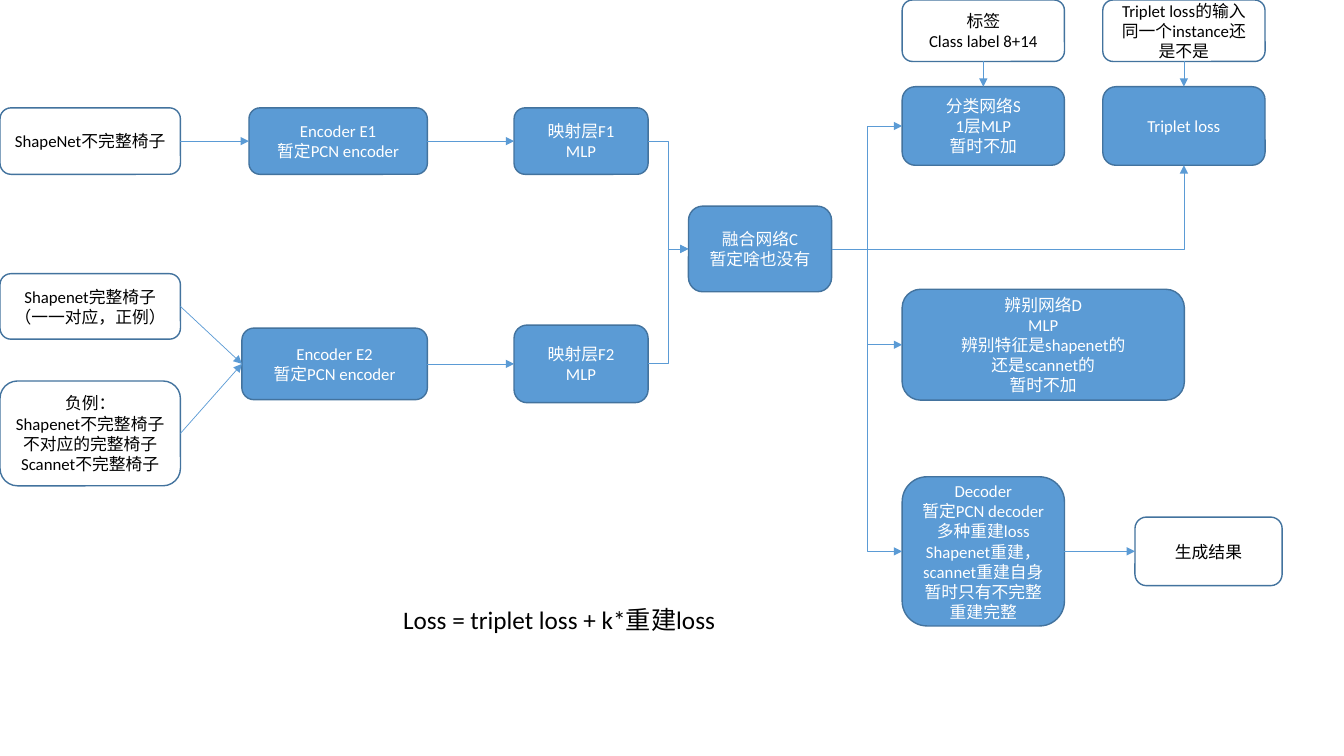
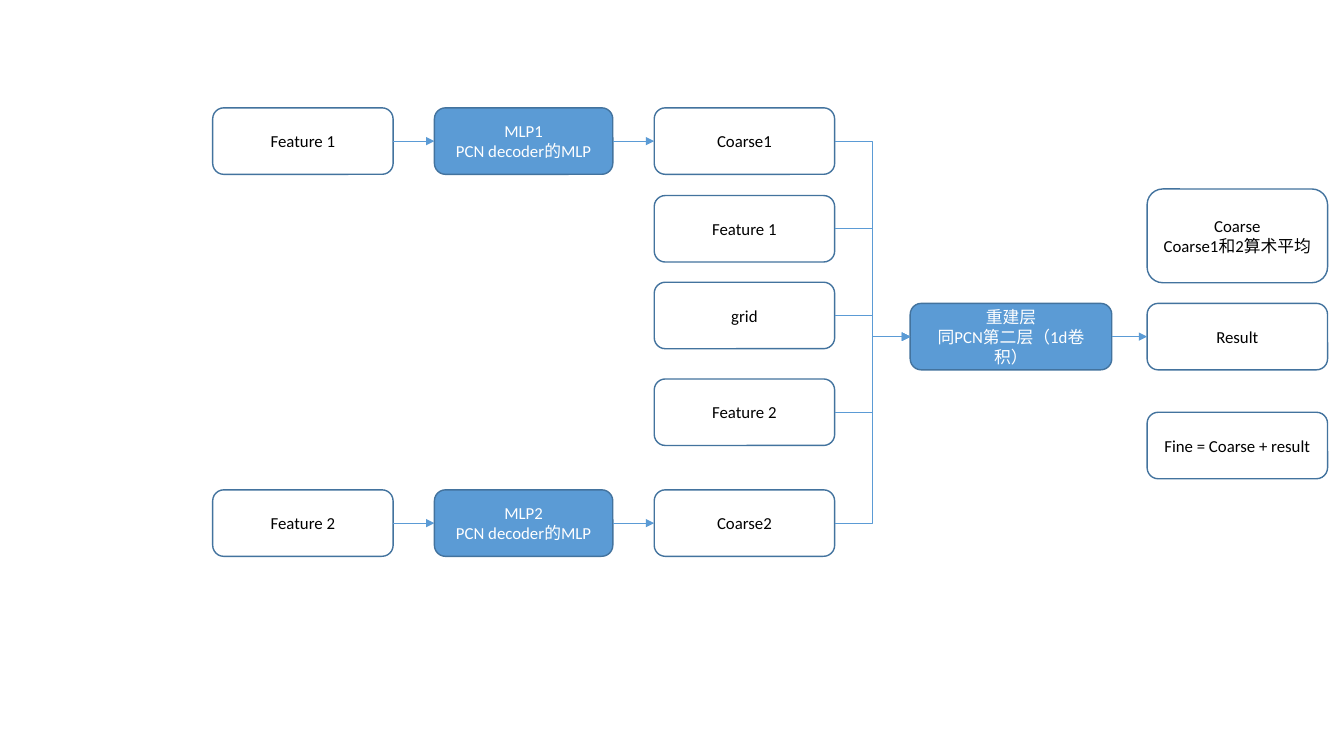
"""Builds two flow diagrams of a point cloud network on a grid of square cells."""
import dataclasses

import pptx
import pptx.dml.color
import pptx.enum.shapes
import pptx.enum.text
import pptx.oxml
import pptx.oxml.ns
import pptx.util

TOP, LEFT, BOTTOM, RIGHT = range(4)


@dataclasses.dataclass(frozen=True)
class Theme:
    """Colours, type sizes and grid shared by the slides."""
    paper: str = "FFFFFF"
    ink: str = "000000"
    accent: str = "5B9BD5"
    edge: str = "43739E"
    font: str = "Calibri"
    label_size: float = 12
    formula_size: float = 18
    edge_width: float = 1
    arrow_width: float = 0.5
    cell: int = pptx.util.Inches(0.1)
    columns: float = 133.33
    rows: float = 75


class Diagram:
    """Draws boxes, arrows and notes on the current slide."""

    def __init__(self, theme):
        """Open an empty presentation of the theme's size."""
        self.theme = theme
        self.deck = pptx.Presentation()
        self.deck.slide_width = self.cells(theme.columns)
        self.deck.slide_height = self.cells(theme.rows)

    def cells(self, count):
        """Convert grid cells to a length."""
        return pptx.util.Emu(round(count * self.theme.cell))

    def colour(self, code):
        """Convert a hex code to a colour."""
        return pptx.dml.color.RGBColor.from_string(code)

    def new_slide(self):
        """Start a blank slide."""
        self.slide = self.deck.slides.add_slide(self.deck.slide_layouts[6])

    def set_text(self, frame, text, size, ink, align):
        """Fill a text frame, one paragraph a line."""
        frame.text = text
        frame.word_wrap = True
        for paragraph in frame.paragraphs:
            paragraph.alignment = align
            paragraph.font.name = self.theme.font
            paragraph.font.size = pptx.util.Pt(size)
            paragraph.font.color.rgb = self.colour(ink)

    def box(self, text, left, middle, width, height, fill, ink):
        """Add a rounded box centred on a grid row."""
        shape = self.slide.shapes.add_shape(
            pptx.enum.shapes.MSO_SHAPE.ROUNDED_RECTANGLE,
            *map(self.cells, (left, middle - height / 2, width, height)))
        shape.shadow.inherit = False
        shape.fill.solid()
        shape.fill.fore_color.rgb = self.colour(fill)
        shape.line.color.rgb = self.colour(self.theme.edge)
        shape.line.width = pptx.util.Pt(self.theme.edge_width)
        shape.text_frame.vertical_anchor = pptx.enum.text.MSO_ANCHOR.MIDDLE
        self.set_text(shape.text_frame, text, self.theme.label_size, ink,
                      pptx.enum.text.PP_ALIGN.CENTER)
        return shape

    def data(self, text, left, middle, width=17.9, height=6.6):
        """Add a white box for an input or a result."""
        return self.box(text, left, middle, width, height,
                        self.theme.paper, self.theme.ink)

    def network(self, text, left, middle, width=17.7, height=6.6):
        """Add a filled box for a network part."""
        return self.box(text, left, middle, width, height,
                        self.theme.accent, self.theme.paper)

    def note(self, text, left, top, width, height):
        """Add plain text."""
        frame = self.slide.shapes.add_textbox(
            *map(self.cells, (left, top, width, height))).text_frame
        self.set_text(frame, text, self.theme.formula_size, self.theme.ink,
                      pptx.enum.text.PP_ALIGN.LEFT)

    def arrow(self, start, end, exit_side=RIGHT, entry_side=LEFT, bent=False):
        """Join two boxes with a straight or bent arrow."""
        kinds = pptx.enum.shapes.MSO_CONNECTOR
        line = self.slide.shapes.add_connector(
            kinds.ELBOW if bent else kinds.STRAIGHT, 0, 0, 0, 0)
        line.begin_connect(start, exit_side)
        line.end_connect(end, entry_side)
        line.line.color.rgb = self.colour(self.theme.accent)
        line.line.width = pptx.util.Pt(self.theme.arrow_width)
        properties = line._element.spPr
        qn = pptx.oxml.ns.qn
        if bent and entry_side == BOTTOM:
            properties.find(qn("a:prstGeom")).set("prst", "bentConnector2")
        head = pptx.oxml.parse_xml(
            f'<a:tailEnd {pptx.oxml.ns.nsdecls("a")} type="triangle"/>')
        properties.find(qn("a:ln")).append(head)
        properties.append(pptx.oxml.parse_xml(
            f'<a:effectLst {pptx.oxml.ns.nsdecls("a")}/>'))

    def chain(self, *boxes):
        """Join boxes from left to right."""
        for start, end in zip(boxes, boxes[1:]):
            self.arrow(start, end)


def draw_training(diagram):
    """Draw the encoders, the fusion network and its heads."""
    diagram.new_slide()
    upper, lower, fusion_row, head_row, decoder_row = 14, 36.1, 24.7, 12.5, 54.7
    label_row, label_height, head_height = 3.05, 6.1, 7.8
    class_column, triplet_column, head_width = 89.5, 109.4, 16.1

    partial = diagram.data("ShapeNet不完整椅子", 0, upper)
    positive = diagram.data("Shapenet完整椅子（一一对应，正例）", 0, 30.4, height=6.5)
    negative = diagram.data(
        "负例：\nShapenet不完整椅子\n不对应的完整椅子\nScannet不完整椅子",
        0, 43, height=10.4)
    encoder_1 = diagram.network("Encoder E1\n暂定PCN encoder", 24.7, upper)
    encoder_2 = diagram.network("Encoder E2\n暂定PCN encoder", 24, lower, 18.4, 7.1)
    mapping_1 = diagram.network("映射层F1\nMLP", 51, upper, 13.3)
    mapping_2 = diagram.network("映射层F2\nMLP", 51, lower, 13.3, 7.7)
    fusion = diagram.network("融合网络C\n暂定啥也没有", 68.3, fusion_row, 14.2, 8.5)

    classifier = diagram.network("分类网络S\n1层MLP\n暂时不加", class_column,
                                 head_row, head_width, head_height)
    label = diagram.data("标签\nClass label 8+14", class_column,
                         label_row, head_width, label_height)
    triplet = diagram.network("Triplet loss", triplet_column,
                              head_row, head_width, head_height)
    pairs = diagram.data("Triplet loss的输入\n同一个instance还是不是", triplet_column,
                         label_row, head_width, label_height)
    discriminator = diagram.network(
        "辨别网络D\nMLP\n辨别特征是shapenet的\n还是scannet的\n暂时不加",
        class_column, 34.2, 28, 11)
    decoder = diagram.network(
        "Decoder\n暂定PCN decoder\n多种重建loss\n"
        "Shapenet重建，scannet重建自身\n暂时只有不完整重建完整",
        class_column, decoder_row, head_width, 14.8)
    generated = diagram.data("生成结果", 112.6, decoder_row, 14.6, 6.8)

    diagram.chain(partial, encoder_1, mapping_1)
    diagram.chain(positive, encoder_2, mapping_2)
    diagram.chain(negative, encoder_2)
    diagram.chain(decoder, generated)
    for mapping in (mapping_1, mapping_2):
        diagram.arrow(mapping, fusion, bent=True)
    for head in (classifier, discriminator, decoder):
        diagram.arrow(fusion, head, bent=True)
    diagram.arrow(fusion, triplet, entry_side=BOTTOM, bent=True)
    for source, head in ((label, classifier), (pairs, triplet)):
        diagram.arrow(source, head, BOTTOM, TOP)
    diagram.note("Loss = triplet loss + k*重建loss", 39, 59.5, 33.3, 4)


def draw_decoder(diagram):
    """Draw the decoder from coarse features to the fine result."""
    diagram.new_slide()
    upper, lower, result_row = 14, 51.9, 33.4
    feature_column, mlp_column, coarse_column, result_column = 21.1, 43.1, 64.9, 113.8

    rebuild = diagram.network("重建层\n同PCN第二层（1d卷积）", 90.3, result_row, 20)
    merged = [diagram.data(text, coarse_column, row) for text, row in
              (("Feature 1", 22.7), ("grid", 31.3), ("Feature 2", 40.9))]
    for number, row in ((1, upper), (2, lower)):
        feature = diagram.data(f"Feature {number}", feature_column, row)
        mlp = diagram.network(f"MLP{number}\nPCN decoder的MLP", mlp_column, row)
        coarse = diagram.data(f"Coarse{number}", coarse_column, row)
        diagram.chain(feature, mlp, coarse)
        merged.append(coarse)
    for part in merged:
        diagram.arrow(part, rebuild, bent=True)

    diagram.data("Coarse\nCoarse1和2算术平均", result_column, 23.4, height=9.3)
    result = diagram.data("Result", result_column, result_row)
    diagram.data("Fine = Coarse + result", result_column, 44.2)
    diagram.chain(rebuild, result)


diagram = Diagram(Theme())
draw_training(diagram)
draw_decoder(diagram)
diagram.deck.save("out.pptx")
